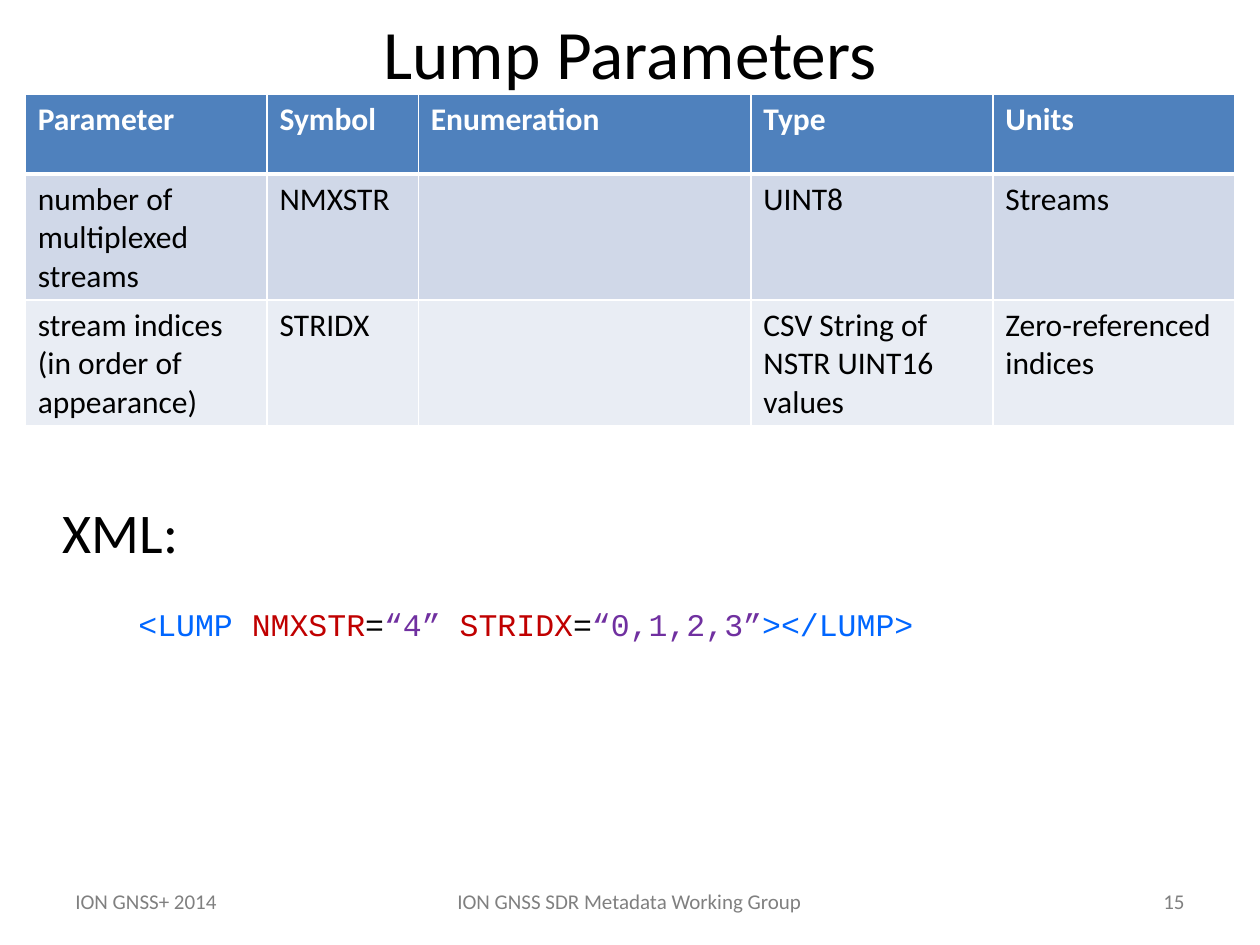
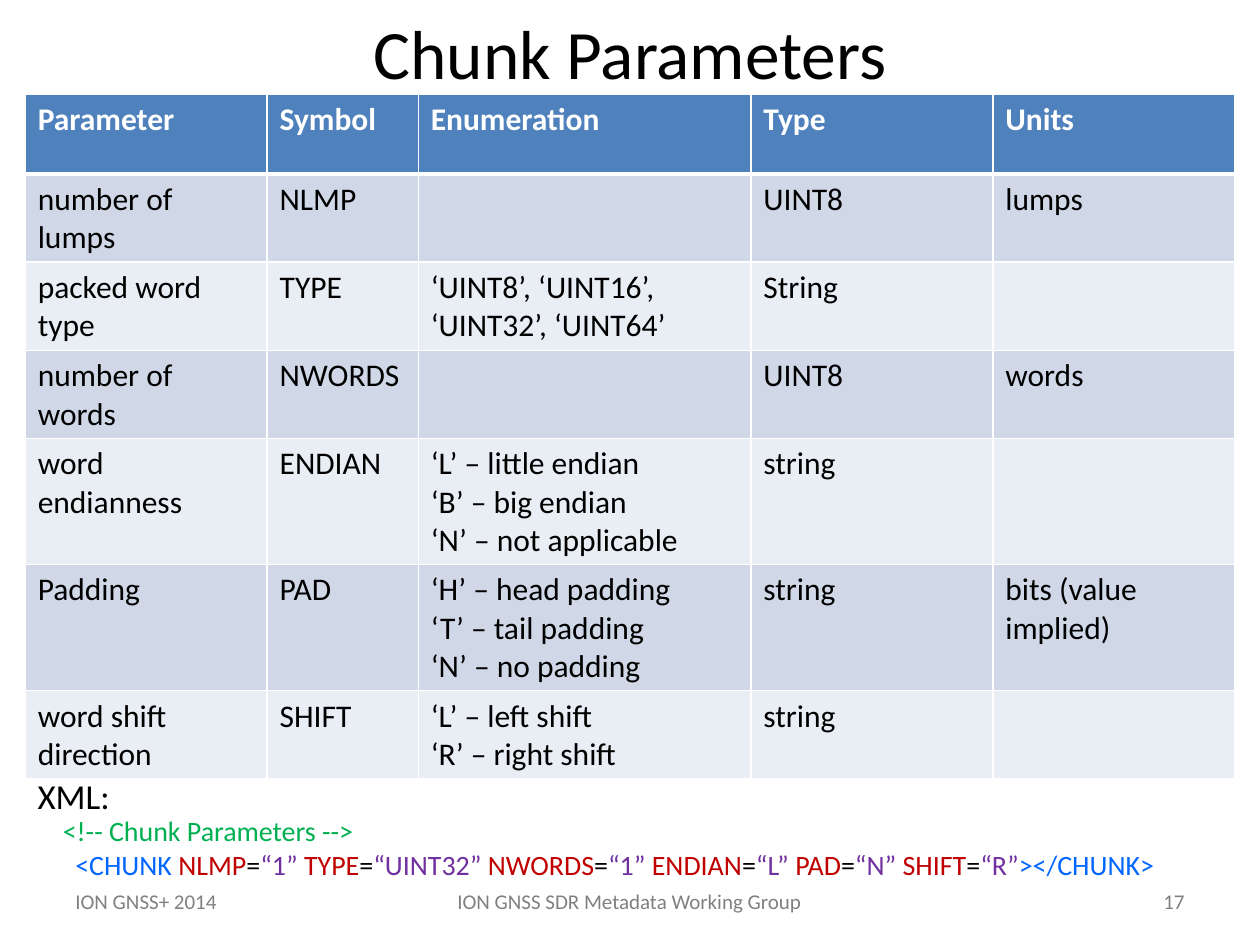
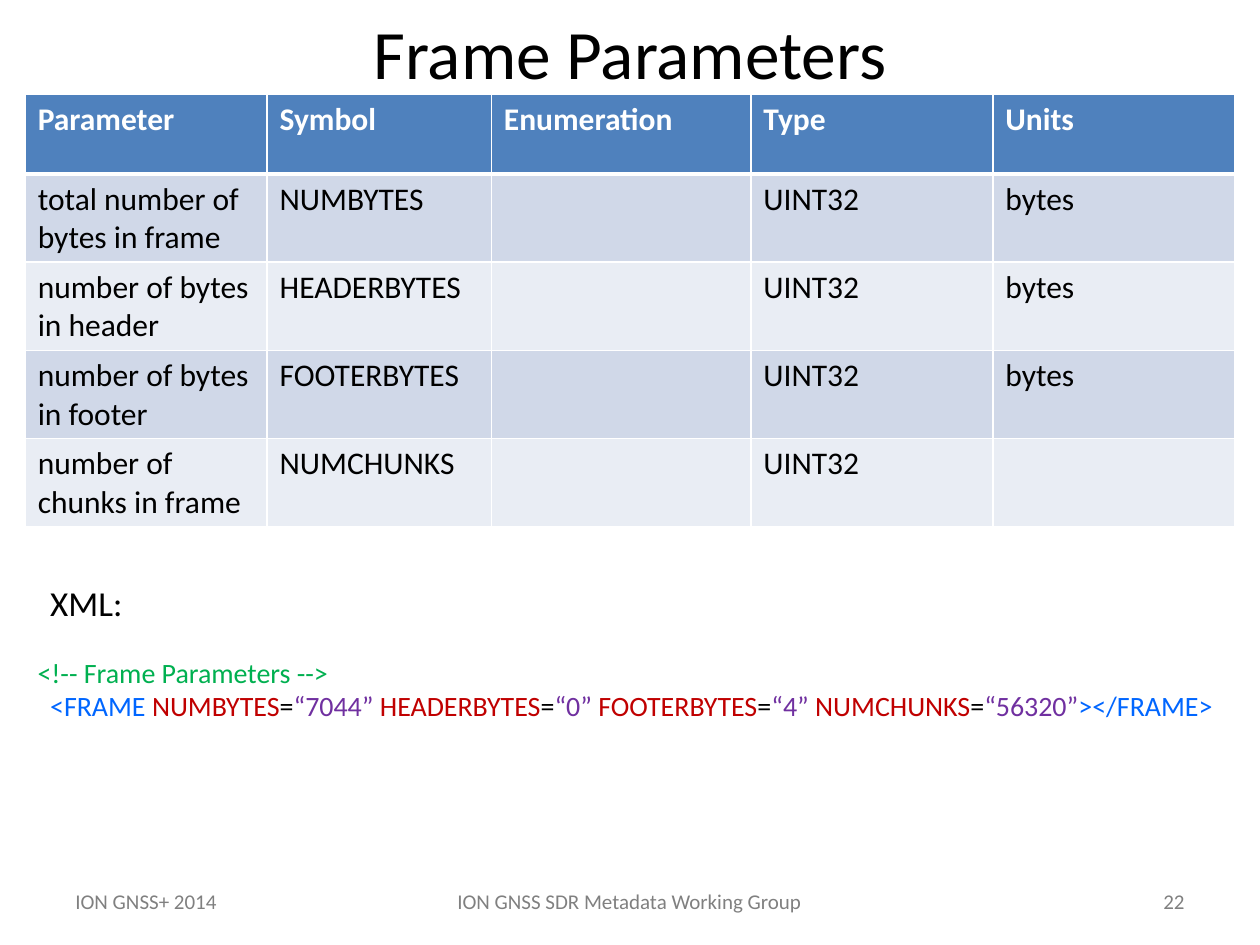
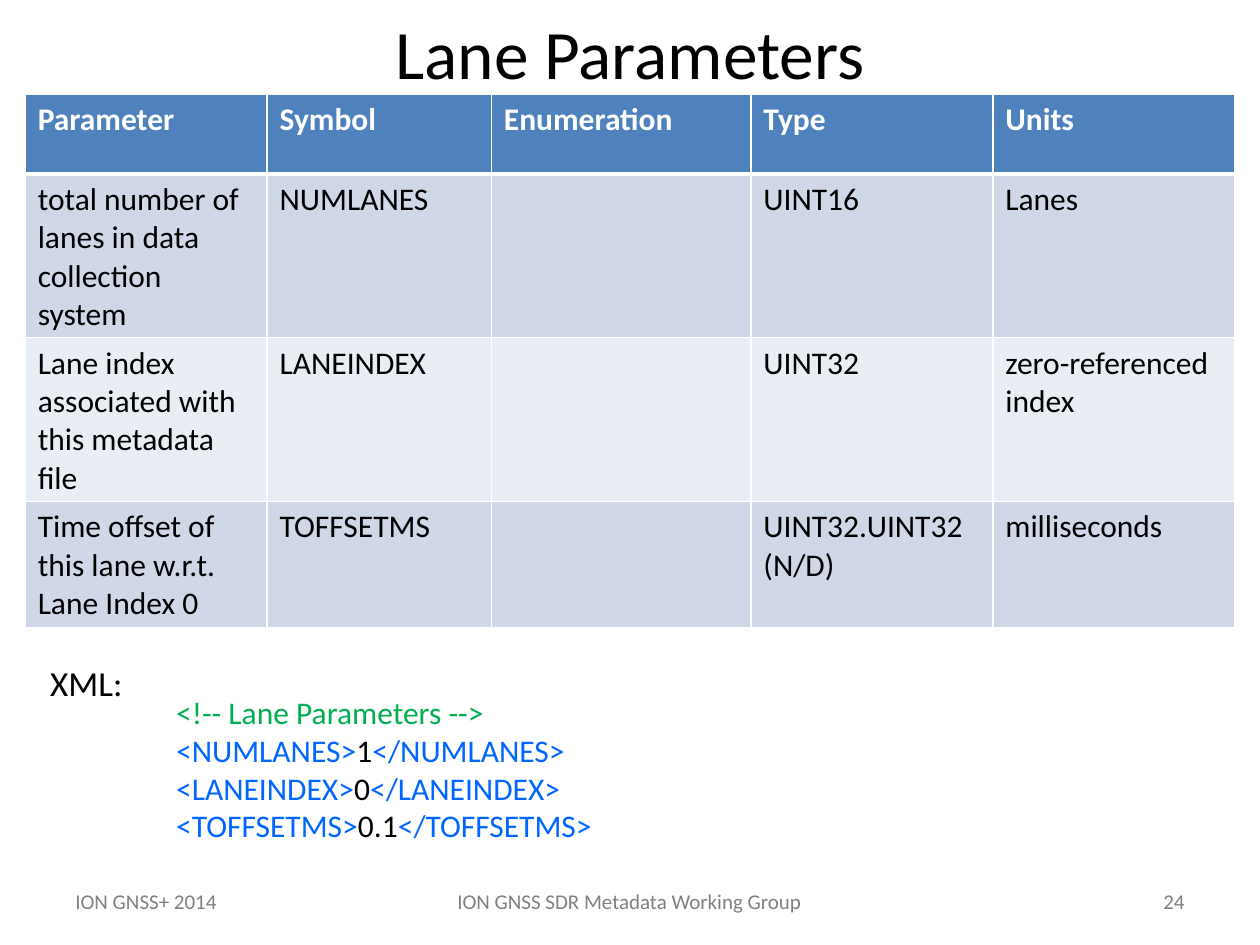
"""Build four slides of metadata parameter tables, each with an XML sample."""
from pptx import Presentation
from pptx import util as u
from pptx.dml import color
from pptx.enum import text
from pptx.oxml import parse_xml
from pptx.oxml.ns import nsdecls

BLACK, WHITE, GREY = "000000", "FFFFFF", "808080"
HEADER_FILL, BAND_FILLS = "4F81BD", ("D0D8E8", "E9EDF4")
TAG, ATTRIBUTE, VALUE, COMMENT = "0066FF", "C00000", "7030A0", "00B050"
LEFT, CENTER, RIGHT = text.PP_ALIGN.LEFT, text.PP_ALIGN.CENTER, text.PP_ALIGN.RIGHT
TOP, MIDDLE = text.MSO_ANCHOR.TOP, text.MSO_ANCHOR.MIDDLE
HEADINGS = ("Parameter", "Symbol", "Enumeration", "Type", "Units")
HEADER_HEIGHT, LINE_HEIGHT, CELL_PADDING = 0.63, 0.3, 0.1
NARROW_SYMBOL = (1.92, 1.2, 2.64, 1.92, 1.92)
WIDE_SYMBOL = (1.92, 1.78, 2.06, 1.92, 1.92)


def style(span, size, colour, font="Calibri", bold=False):
    span.font.size = u.Pt(size)
    span.font.name = font
    span.font.bold = bold
    span.font.color.rgb = color.RGBColor.from_string(colour)


def add_text(page, place, lines, size, align=LEFT, anchor=TOP, font="Calibri", indents=()):
    box = page.shapes.add_textbox(*[u.Inches(value) for value in place])
    frame = box.text_frame
    frame.word_wrap = True
    frame.vertical_anchor = anchor
    for index, line in enumerate(lines):
        para = frame.paragraphs[0] if index == 0 else frame.add_paragraph()
        para.alignment = align
        if indents:
            para._p.get_or_add_pPr().set("marL", str(u.Inches(indents[index])))
        for words, colour in line:
            span = para.add_run()
            span.text = words
            style(span, size, colour, font)


slides = [
    {
        "title": "Lump Parameters", "number": "15", "columns": NARROW_SYMBOL,
        "rows": [
            (3, "number of multiplexed streams", "NMXSTR", "", "UINT8", "Streams"),
            (3, "stream indices (in order of appearance)", "STRIDX", "",
             "CSV String of NSTR UINT16 values", "Zero-referenced indices"),
        ],
        "label": (0.4, 3.88), "label_size": 32,
        "sample": (1, 4.75, 6.4, 0.4), "sample_size": 18, "font": "Courier New",
        "element": "LUMP", "attributes": [("NMXSTR", "4"), ("STRIDX", "0,1,2,3")],
    },
    {
        "title": "Chunk Parameters", "number": "17", "columns": NARROW_SYMBOL,
        "rows": [
            (2, "number of lumps", "NLMP", "", "UINT8", "lumps"),
            (2, "packed word type", "TYPE", "‘UINT8’, ‘UINT16’, ‘UINT32’, ‘UINT64’",
             "String", ""),
            (2, "number of words", "NWORDS", "", "UINT8", "words"),
            (3, "word endianness", "ENDIAN",
             "‘L’ – little endian\n‘B’ – big endian\n‘N’ – not applicable", "string", ""),
            (3, "Padding", "PAD",
             "‘H’ – head padding\n‘T’ – tail padding\n‘N’ – no padding",
             "string", "bits (value implied)"),
            (2, "word shift direction", "SHIFT", "‘L’ – left shift\n‘R’ – right shift",
             "string", ""),
        ],
        "label": (0.2, 5.98), "label_size": 20,
        "sample": (0.4, 6.41, 9.4, 0.64), "sample_size": 16,
        "comment": "<!-- Chunk Parameters -->", "element": "CHUNK",
        "attributes": [("NLMP", "1"), ("TYPE", "UINT32"), ("NWORDS", "1"),
                       ("ENDIAN", "L"), ("PAD", "N"), ("SHIFT", "R")],
    },
    {
        "title": "Frame Parameters", "number": "22", "columns": WIDE_SYMBOL,
        "rows": [
            (2, "total number of bytes in frame", "NUMBYTES", "", "UINT32", "bytes"),
            (2, "number of bytes in header", "HEADERBYTES", "", "UINT32", "bytes"),
            (2, "number of bytes in footer", "FOOTERBYTES", "", "UINT32", "bytes"),
            (2, "number of chunks in frame", "NUMCHUNKS", "", "UINT32", ""),
        ],
        "label": (0.3, 4.45), "label_size": 20,
        "sample": (0.2, 5.15, 9.6, 0.64), "sample_size": 16,
        "comment": "<!-- Frame Parameters -->", "element": "FRAME",
        "attributes": [("NUMBYTES", "7044"), ("HEADERBYTES", "0"),
                       ("FOOTERBYTES", "4"), ("NUMCHUNKS", "56320")],
    },
    {
        "title": "Lane Parameters", "number": "24", "columns": WIDE_SYMBOL,
        "rows": [
            (4, "total number of lanes in data collection system", "NUMLANES", "",
             "UINT16", "Lanes"),
            (4, "Lane index associated with this metadata file", "LANEINDEX", "",
             "UINT32", "zero-referenced index"),
            (3, "Time offset of this lane w.r.t. Lane Index 0", "TOFFSETMS", "",
             "UINT32.UINT32 (N/D)", "milliseconds"),
        ],
        "label": (0.3, 5.08), "label_size": 20,
        "sample": (1.3, 5.45, 5, 1.31), "sample_size": 18,
        "comment": "<!-- Lane Parameters -->",
        "values": [("NUMLANES", "1"), ("LANEINDEX", "0"), ("TOFFSETMS", "0.1")],
    },
]

deck = Presentation()
deck.slide_width, deck.slide_height = u.Inches(10), u.Inches(7.5)

for slide in slides:
    page = deck.slides.add_slide(deck.slide_layouts[6])
    for place, words, align in (
        ((8.67, 7, 0.83, 0.3), slide["number"], RIGHT),
        ((3.29, 7, 3.41, 0.3), "ION GNSS SDR Metadata Working Group", CENTER),
        ((0.5, 7, 1.6, 0.3), "ION GNSS+ 2014", LEFT),
    ):
        add_text(page, place, [[(words, GREY)]], 12, align)

    heights = [HEADER_HEIGHT] + [CELL_PADDING + LINE_HEIGHT * row[0] for row in slide["rows"]]
    table = page.shapes.add_table(
        len(heights), len(HEADINGS), u.Inches(0.2), u.Inches(0.75),
        u.Inches(9.6), u.Inches(sum(heights))).table
    table.horz_banding = False
    for column, width in zip(table.columns, slide["columns"]):
        column.width = u.Inches(width)
    contents = [HEADINGS] + [row[1:] for row in slide["rows"]]
    for r, (height, words) in enumerate(zip(heights, contents)):
        table.rows[r].height = u.Inches(height)
        for c, value in enumerate(words):
            cell = table.cell(r, c)
            borders = cell._tc.get_or_add_tcPr()
            for side in "LRTB":
                thick = (r, side) in ((0, "B"), (1, "T"))
                borders.append(parse_xml(
                    f'<a:ln{side} {nsdecls("a")} w="{u.Pt(3 if thick else 1)}"><a:solidFill>'
                    f'<a:srgbClr val="{WHITE}"/></a:solidFill></a:ln{side}>'))
            cell.fill.solid()
            fill = BAND_FILLS[(r - 1) % 2] if r else HEADER_FILL
            cell.fill.fore_color.rgb = color.RGBColor.from_string(fill)
            cell.text_frame.text = value
            for para in cell.text_frame.paragraphs:
                for span in para.runs:
                    style(span, 18, BLACK if r else WHITE, bold=r == 0)

    add_text(page, (0.5, 0.08, 9, 0.67), [[(slide["title"], BLACK)]], 39.6, CENTER, MIDDLE)
    add_text(page, (*slide["label"], 1.6, 0.67), [[("XML:", BLACK)]],
             slide["label_size"], LEFT, MIDDLE)

    lines, indents = [], []
    if "comment" in slide:
        lines.append([(slide["comment"], COMMENT)])
    if "element" in slide:
        element, attributes = slide["element"], slide["attributes"]
        line = [(f"<{element} ", TAG)]
        for index, (name, value) in enumerate(attributes, 1):
            gap = " " if index < len(attributes) else ""
            line += [(name, ATTRIBUTE), ("=", BLACK), (f"“{value}”{gap}", VALUE)]
        lines.append(line + [(f"></{element}>", TAG)])
        indents = [0, 0.1] if "comment" in slide else []
    for name, value in slide.get("values", ()):
        lines.append([(f"<{name}>", TAG), (value, BLACK), (f"</{name}>", TAG)])
    add_text(page, slide["sample"], lines, slide["sample_size"],
             font=slide.get("font", "Calibri"), indents=indents)

deck.save("out.pptx")
